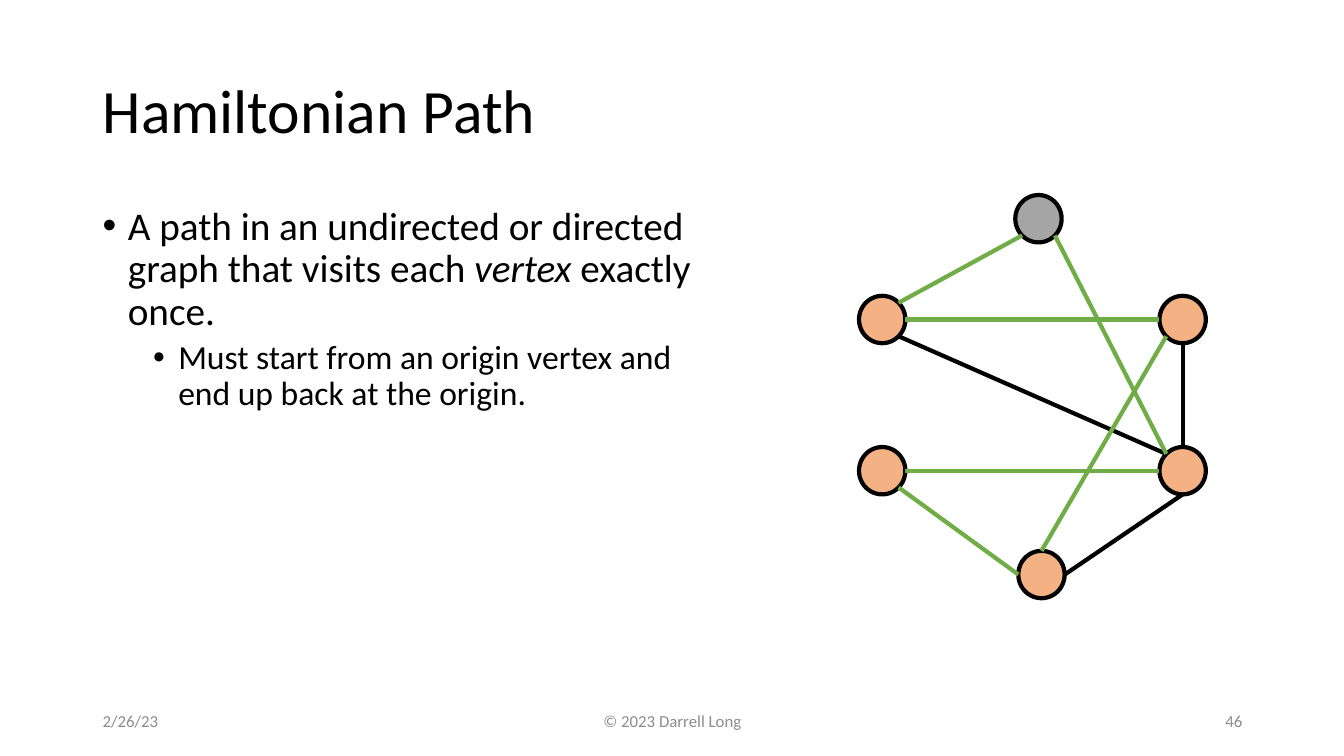
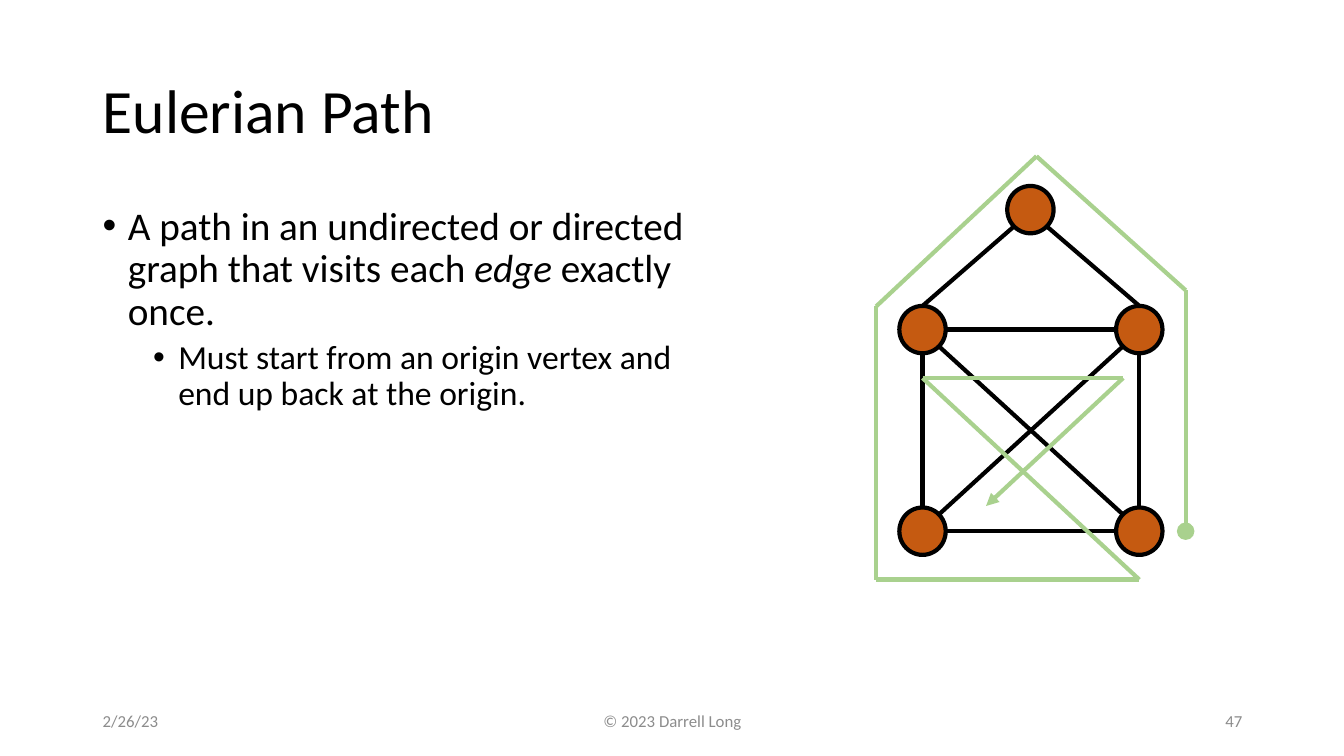
import itertools
import math

import pptx
import pptx.dml.color
import pptx.enum.shapes
import pptx.enum.text
import pptx.oxml
import pptx.oxml.ns
import pptx.util
from pptx.util import Inches

COLORS = {
    "ink": "000000",
    "footer": "8C8C8C",
    "origin": "A5A5A5",
    "vertex": "F4B183",
    "visited": "70AD47",
    "euler_vertex": "C55A11",
    "route": "A9D18E",
}
FONT = "Calibri"
NODE_W, NODE_H = 0.46, 0.47
DIAGONAL = math.sqrt(0.5)
# Points on a vertex outline, as direction from its centre
SITES = {
    "n": (0, -1), "e": (1, 0), "s": (0, 1), "w": (-1, 0),
    "ne": (DIAGONAL, -DIAGONAL), "se": (DIAGONAL, DIAGONAL),
    "sw": (-DIAGONAL, DIAGONAL), "nw": (-DIAGONAL, -DIAGONAL),
}
ALIGN = pptx.enum.text.PP_ALIGN
ANCHOR = pptx.enum.text.MSO_ANCHOR


def rgb(name):
    return pptx.dml.color.RGBColor.from_string(COLORS[name])


class Deck:
    """Shared style and the slide being built."""

    def __init__(self):
        self.presentation = pptx.Presentation()
        self.presentation.slide_width = Inches(13.33)
        self.presentation.slide_height = Inches(7.5)
        self.slide = None

    def new_slide(self, title, emphasis, number):
        blank = self.presentation.slide_layouts[6]
        self.slide = self.presentation.slides.add_slide(blank)
        heading = self.text(title, 0.92, 0.4, 11.5, 1.45, 44)
        heading.line_spacing = 0.9
        self.definition(emphasis)
        # Footer
        self.text("2/26/23", 0.92, 6.95, 3, 0.4, 12, "footer")
        self.text("© 2023 Darrell Long", 4.42, 6.95, 4.5, 0.4, 12, "footer", ALIGN.CENTER)
        self.text(str(number), 9.42, 6.95, 3, 0.4, 12, "footer", ALIGN.RIGHT)

    def frame(self, x, y, w, h, anchor):
        box = self.slide.shapes.add_textbox(Inches(x), Inches(y), Inches(w), Inches(h))
        box.text_frame.word_wrap = True
        box.text_frame.vertical_anchor = anchor
        return box.text_frame

    def style(self, paragraph, size, color="ink"):
        for run in paragraph.runs:
            run.font.name = FONT
            run.font.size = pptx.util.Pt(size)
            run.font.color.rgb = rgb(color)

    def text(self, words, x, y, w, h, size, color="ink", align=ALIGN.LEFT):
        frame = self.frame(x, y, w, h, ANCHOR.MIDDLE)
        frame.text = words
        paragraph = frame.paragraphs[0]
        paragraph.alignment = align
        self.style(paragraph, size, color)
        return paragraph

    def bullet(self, paragraph, indent, size):
        properties = paragraph._p.get_or_add_pPr()
        properties.set("marL", str(Inches(indent)))
        properties.set("indent", str(Inches(-0.25)))
        paragraph.line_spacing = 0.9
        for tag, attribute, value in (("a:buFont", "typeface", "Arial"), ("a:buChar", "char", "•")):
            mark = pptx.oxml.parse_xml(f"<{tag} {pptx.oxml.ns.nsdecls('a')}/>")
            mark.set(attribute, value)
            properties.append(mark)
        self.style(paragraph, size)

    def definition(self, emphasis):
        frame = self.frame(0.92, 2, 6.1, 4.76, ANCHOR.TOP)
        meaning = frame.paragraphs[0]
        meaning.text = "A path in an undirected or directed graph that visits each "
        for words, italic in ((emphasis, True), (" exactly once.", False)):
            run = meaning.add_run()
            run.text = words
            run.font.italic = italic
        self.bullet(meaning, 0.25, 28)
        condition = frame.add_paragraph()
        condition.text = "Must start from an origin vertex and end up back at the origin."
        condition.level = 1
        condition.space_before = pptx.util.Pt(5)
        self.bullet(condition, 0.75, 24)

    def circle(self, center, w, h, fill, outline, weight):
        x, y = center
        shape = self.slide.shapes.add_shape(
            pptx.enum.shapes.MSO_SHAPE.OVAL,
            Inches(x - w / 2), Inches(y - h / 2), Inches(w), Inches(h))
        shape.shadow.inherit = False
        shape.fill.solid()
        shape.fill.fore_color.rgb = rgb(fill)
        shape.line.color.rgb = rgb(outline)
        shape.line.width = pptx.util.Pt(weight)

    def line(self, start, end, color, arrow=False):
        connector = self.slide.shapes.add_connector(
            pptx.enum.shapes.MSO_CONNECTOR.STRAIGHT,
            *(Inches(length) for length in (*start, *end)))
        connector.line.color.rgb = rgb(color)
        connector.line.width = pptx.util.Pt(3)
        properties = connector.element.spPr
        namespace = pptx.oxml.ns.nsdecls("a")
        if arrow:
            outline = properties.find(pptx.oxml.ns.qn("a:ln"))
            outline.append(pptx.oxml.parse_xml(f'<a:tailEnd {namespace} type="triangle"/>'))
        properties.append(pptx.oxml.parse_xml(f"<a:effectLst {namespace}/>"))

    def graph(self, vertices, edges, fill, origin=None):
        for name, center in vertices.items():
            self.circle(center, NODE_W, NODE_H, "origin" if name == origin else fill, "ink", 3)

        def site(name, side):
            (x, y), (dx, dy) = vertices[name], SITES[side]
            return x + dx * NODE_W / 2, y + dy * NODE_H / 2

        for first, first_side, second, second_side, color in edges:
            self.line(site(first, first_side), site(second, second_side), color)

    def route(self, stops):
        legs = list(itertools.pairwise(stops))
        for start, end in legs:
            self.line(start, end, "route", arrow=end == stops[-1])
        self.circle(stops[0], 0.16, 0.16, "route", "route", 1)


def main():
    deck = Deck()

    # Hamiltonian path: green edges form the tour
    deck.new_slide("Hamiltonian Path", "vertex", 46)
    left, right, upper, lower = 8.75, 11.73, 3.17, 4.67
    vertices = {
        "top": (10.3, 2.17),
        "upper left": (left, upper),
        "upper right": (right, upper),
        "lower right": (right, lower),
        "bottom": (10.33, 5.7),
        "lower left": (left, lower),
    }
    edges = [
        ("upper left", "e", "upper right", "w", "visited"),
        ("upper left", "se", "lower right", "nw", "ink"),
        ("lower left", "e", "lower right", "w", "visited"),
        ("lower left", "se", "bottom", "w", "visited"),
        ("bottom", "e", "lower right", "s", "ink"),
        ("upper right", "s", "lower right", "n", "ink"),
        ("top", "se", "lower right", "nw", "visited"),
        ("top", "sw", "upper left", "ne", "visited"),
        ("upper right", "sw", "bottom", "n", "visited"),
    ]
    deck.graph(vertices, edges, "vertex", origin="top")

    # Eulerian path: house graph with the route drawn beside its edges
    deck.new_slide("Eulerian Path", "edge", 47)
    left, right, eaves, floor = 9.15, 11.3, 3.27, 5.27
    vertices = {
        "left eave": (left, eaves),
        "roof": (10.22, 2.08),
        "left floor": (left, floor),
        "right floor": (right, floor),
        "right eave": (right, eaves),
    }
    edges = [
        ("roof", "sw", "left eave", "n", "ink"),
        ("left eave", "s", "left floor", "n", "ink"),
        ("right eave", "s", "right floor", "n", "ink"),
        ("left floor", "e", "right floor", "w", "ink"),
        ("roof", "se", "right eave", "n", "ink"),
        ("left eave", "se", "right floor", "nw", "ink"),
        ("right eave", "sw", "left floor", "ne", "ink"),
        ("left eave", "e", "right eave", "w", "ink"),
    ]
    deck.graph(vertices, edges, "euler_vertex")
    deck.route([
        (11.76, floor), (11.76, 2.88), (10.28, 1.55), (8.69, 3.04), (8.69, 5.75),
        (right, 5.75), (left, 3.75), (11.14, 3.75), (9.78, 5.02),
    ])

    deck.presentation.save("out.pptx")


if __name__ == "__main__":
    main()
